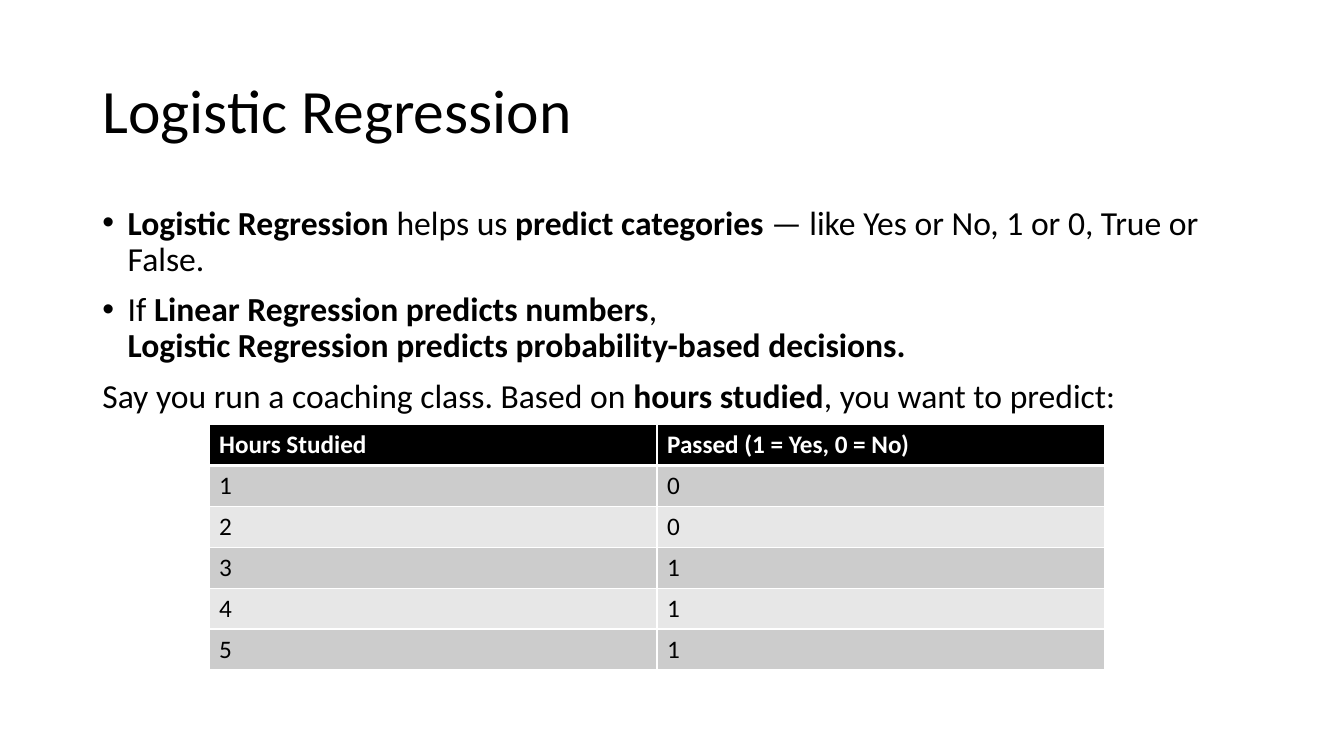
from lxml.etree import SubElement
from pptx import Presentation
from pptx.dml.color import RGBColor
from pptx.enum.text import MSO_ANCHOR
from pptx.oxml.ns import qn
from pptx.util import Cm, Pt

FONT = "Calibri"
BLACK, WHITE = "000000", "FFFFFF"
BANDS = ["CCCCCC", "E7E7E7"]
TITLE = "Logistic Regression"
BODY = [
    (True, [("Logistic Regression", True), (" helps us ", False),
            ("predict categories", True),
            (" — like Yes or No, 1 or 0, True or False.", False)]),
    (True, [("If ", False), ("Linear Regression predicts numbers", True),
            (",", False), ("\n", False),
            ("Logistic Regression predicts probability-based decisions.", True)]),
    (False, [("Say you run a coaching class. Based on ", False),
             ("hours studied", True), (", you want to predict:", False)]),
]
ROWS = [("Hours Studied", "Passed (1 = Yes, 0 = No)"),
        ("1", "0"), ("2", "0"), ("3", "1"), ("4", "1"), ("5", "1")]
LEFT, WIDTH = Cm(2.33), Cm(29.21)
COL_W, ROW_H = Cm(11.29), Cm(1.03)


def rgb(value):
    """Turn a hex string into a colour."""
    return RGBColor.from_string(value)


def style(r, size, color=BLACK, bold=False):
    """Set the font of a run."""
    r.font.name, r.font.size, r.font.bold = FONT, Pt(size), bold
    r.font.color.rgb = rgb(color)


def add_text_frame(s, top, height):
    """Add a wrapping text box across the content width."""
    tf = s.shapes.add_textbox(LEFT, top, WIDTH, height).text_frame
    tf.word_wrap = True
    return tf


def add_bullet(p):
    """Give a paragraph a round bullet with a hanging indent."""
    pPr = p._p.get_or_add_pPr()
    pPr.set("marL", str(Cm(0.64)))
    pPr.set("indent", str(-Cm(0.64)))
    SubElement(pPr, qn("a:buFont"), typeface="Arial")
    SubElement(pPr, qn("a:buChar"), char="•")


def add_border(cell, side, width):
    """Draw a white line on one side of a cell."""
    ln = SubElement(cell._tc.get_or_add_tcPr(), qn(f"a:ln{side}"), w=str(Pt(width)))
    fill = SubElement(ln, qn("a:solidFill"))
    SubElement(fill, qn("a:srgbClr"), val=WHITE)


def add_title(s):
    """Add the slide title."""
    tf = add_text_frame(s, Cm(1.01), Cm(3.68))
    tf.vertical_anchor = MSO_ANCHOR.MIDDLE
    p = tf.paragraphs[0]
    p.text, p.line_spacing = TITLE, 0.9
    style(p.runs[0], 44)


def add_body(s):
    """Add the explanatory paragraphs."""
    tf = add_text_frame(s, Cm(5.07), Cm(12.09))
    for i, (bulleted, parts) in enumerate(BODY):
        p = tf.add_paragraph() if i else tf.paragraphs[0]
        p.line_spacing, p.space_before = 0.9, Pt(10)
        if bulleted:
            add_bullet(p)
        for text, bold in parts:
            if text == "\n":
                p.add_line_break()
                continue
            r = p.add_run()
            r.text = text
            style(r, 24, bold=bold)


def add_hours_table(s):
    """Add the table of hours studied and results."""
    table = s.shapes.add_table(len(ROWS), 2, Cm(5.27), Cm(10.7),
                               COL_W * 2, ROW_H * len(ROWS)).table
    for column in table.columns:
        column.width = COL_W
    for i, values in enumerate(ROWS):
        header = i == 0
        for j, value in enumerate(values):
            cell = table.cell(i, j)
            for side in "LRTB":
                thick = (i, side) in [(0, "B"), (1, "T")]
                add_border(cell, side, 3 if thick else 1)
            cell.fill.solid()
            cell.fill.fore_color.rgb = rgb(BLACK if header else BANDS[(i - 1) % 2])
            cell.text_frame.text = value
            style(cell.text_frame.paragraphs[0].runs[0], 18,
                  WHITE if header else BLACK, header)


def main():
    """Build and save the slide."""
    prs = Presentation()
    prs.slide_width, prs.slide_height = Cm(33.87), Cm(19.05)
    s = prs.slides.add_slide(prs.slide_layouts[6])
    add_title(s)
    add_body(s)
    add_hours_table(s)
    prs.save("out.pptx")


if __name__ == "__main__":
    main()
